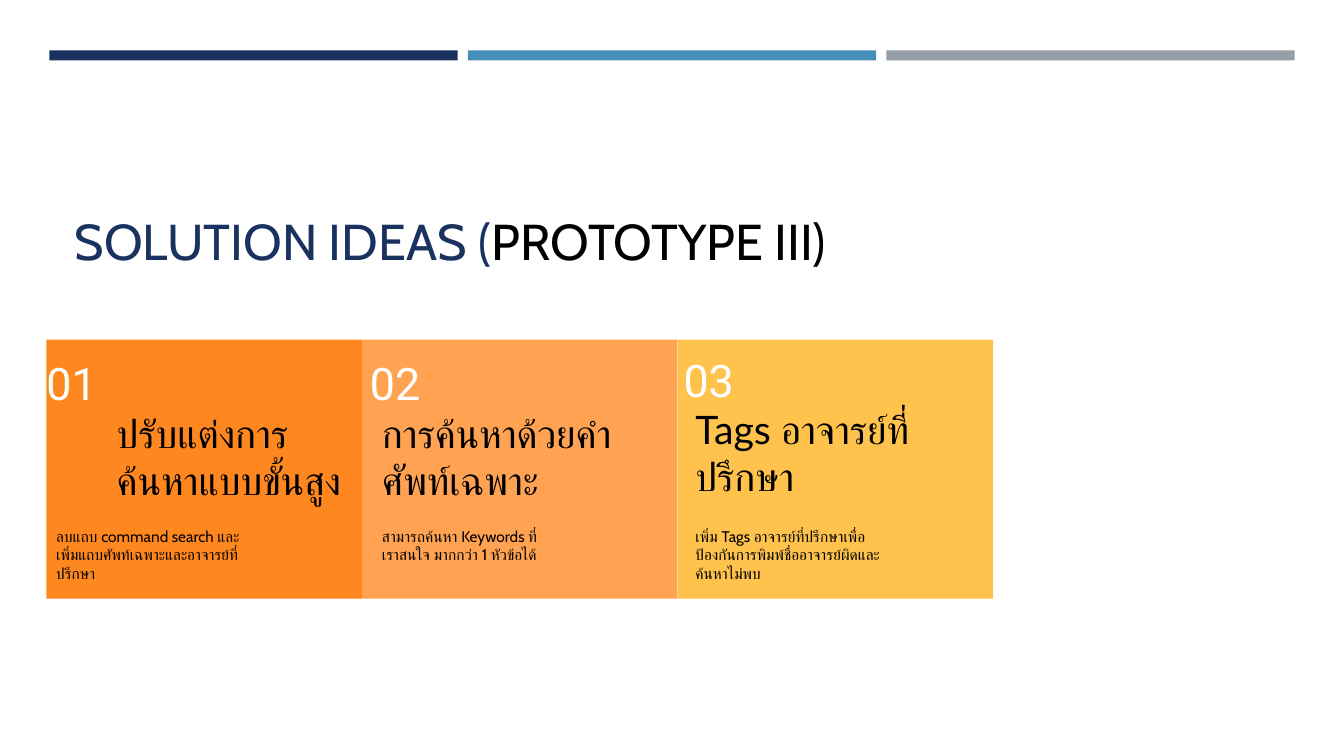
"""Build the 'Solution ideas (Prototype III)' slide with three numbered cards."""
from pptx import Presentation
from pptx import util as u
from pptx.dml.color import RGBColor
from pptx.enum import shapes, text

NAVY, BLACK, WHITE = "1A3260", "000000", "FFFFFF"
BAR_LEFT, BAR_PITCH, BAR_WIDTH = 0.49, 4.15, 4.05
CARD_LEFT, CARD_TOP, CARD_WIDTH, CARD_HEIGHT = 0.46, 3.37, 3.13, 2.57

presentation = Presentation()
presentation.slide_width = u.Inches(13.33)
presentation.slide_height = u.Inches(7.5)
slide = presentation.slides.add_slide(presentation.slide_layouts[5])


def add_rectangle(left, top, width, height, color):
    shape = slide.shapes.add_shape(
        shapes.MSO_SHAPE.RECTANGLE, *map(u.Inches, (left, top, width, height)))
    shape.shadow.inherit = False
    shape.fill.solid()
    shape.fill.fore_color.rgb = RGBColor.from_string(color)
    shape.line.fill.background()


def write(shape, box, runs, size, font, align=text.PP_ALIGN.LEFT):
    shape.left, shape.top, shape.width, shape.height = map(u.Inches, box)
    shape.text_frame.word_wrap = True
    paragraph = shape.text_frame.paragraphs[0]
    paragraph.alignment = align
    for words, color in runs:
        run = paragraph.add_run()
        run.text = words
        run.font.size = u.Pt(size)
        run.font.name = font
        run.font.color.rgb = RGBColor.from_string(color)


for column, color in enumerate([NAVY, "4590B8", "969FA7"]):
    add_rectangle(BAR_LEFT + column * BAR_PITCH, 0.5, BAR_WIDTH, 0.1, color)

title = slide.shapes.title
write(title, (0.64, 1.12, 12.02, 1.61),
      [("SOLUTION IDEAS (", NAVY), ("PROTOTYPE III)", BLACK)], 36, "Cabin")
title.text_frame.auto_size = text.MSO_AUTO_SIZE.NONE
title.text_frame.vertical_anchor = text.MSO_ANCHOR.BOTTOM
title.text_frame.paragraphs[0].space_after = u.Pt(6)

cards = [
    ("FF871F", "01", (0.13, 3.48, 1.16, 0.64),
     "ปรับแต่งการค้นหาแบบขั้นสูง", (1.06, 4.01, 2.54, 1.04),
     "ลบแถบ command search และเพิ่มแถบศัพท์เฉพาะและอาจารย์ที่ปรึกษา",
     (0.46, 5.18, 2.1, 0.47)),
    ("FFA352", "02", (3.3, 3.48, 1.24, 0.64),
     "การค้นหาด้วยคำศัพท์เฉพาะ", (3.69, 4.01, 2.94, 1.04),
     "สามารถค้นหา Keywords ที่เราสนใจ มากกว่า 1 หัวข้อได้",
     (3.69, 5.18, 1.85, 0.47)),
    ("FFC34D", "03", (6.41, 3.45, 1.24, 0.64),
     "Tags อาจารย์ที่ปรึกษา", (6.8, 3.97, 2.94, 1.04),
     "เพิ่ม Tags อาจารย์ที่ปรึกษาเพื่อป้องกันการพิมพ์ชื่ออาจารย์ผิดและค้นหาไม่พบ",
     (6.8, 5.18, 2.1, 0.47)),
]
for column, (fill, number, number_box, heading, heading_box,
             detail, detail_box) in enumerate(cards):
    add_rectangle(CARD_LEFT + column * CARD_WIDTH, CARD_TOP,
                  CARD_WIDTH, CARD_HEIGHT, fill)
    for words, box, size, font, color, align in [
        (number, number_box, 32, "Roboto", WHITE, text.PP_ALIGN.CENTER),
        (heading, heading_box, 28, "Lato", BLACK, text.PP_ALIGN.LEFT),
        (detail, detail_box, 11, "Cabin", BLACK, text.PP_ALIGN.LEFT),
    ]:
        write(slide.shapes.add_textbox(0, 0, 0, 0), box,
              [(words, color)], size, font, align)

presentation.save("out.pptx")
